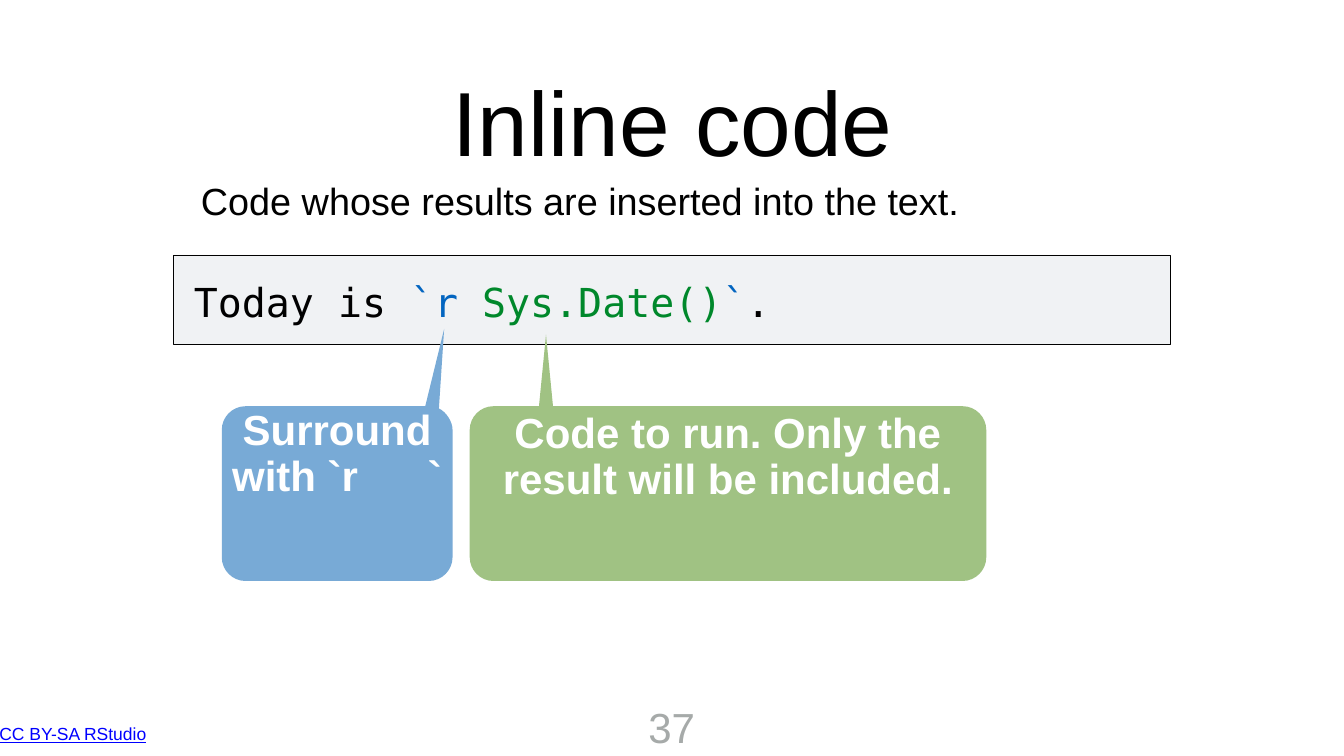
"""Build the slide that explains inline code with two callouts."""
from math import acos, sin, tan

from lxml.etree import SubElement
from pptx import Presentation
from pptx.dml.color import RGBColor
from pptx.enum.shapes import MSO_SHAPE as Shape
from pptx.enum.text import MSO_ANCHOR as Anchor, MSO_AUTO_SIZE as AutoSize, PP_ALIGN as Align
from pptx.oxml.ns import qn
from pptx.util import Pt

BLACK = RGBColor(0x00, 0x00, 0x00)
WHITE = RGBColor(0xFF, 0xFF, 0xFF)
GRAY = RGBColor(0xA6, 0xAA, 0xA9)
CODE_FILL = RGBColor(0xF0, 0xF2, 0xF4)
CODE_BLUE = RGBColor(0x03, 0x65, 0xC0)
CODE_GREEN = RGBColor(0x00, 0x88, 0x2B)
LINK_BLUE = RGBColor(0x00, 0x00, 0xFF)
CALLOUT_BLUE = RGBColor(0x78, 0xAA, 0xD6)
CALLOUT_GREEN = RGBColor(0xA0, 0xC2, 0x83)

TITLE = "Inline code"
SUBTITLE = "Code whose results are inserted into the text."
LICENSE = "CC BY-SA RStudio"
PAGE_NUMBER = "37"
CODE = [
    ("Today is ", BLACK),
    ("`r ", CODE_BLUE),
    ("Sys.Date()", CODE_GREEN),
    ("`", CODE_BLUE),
    (".", BLACK),
]
CALLOUTS = [
    {"text": "Code to run. Only the result will be included.", "fill": CALLOUT_GREEN,
     "left": 671, "right": 1409, "tip": (780, 478), "base": (770, 790)},
    {"text": "Surround with `r      `", "fill": CALLOUT_BLUE,
     "left": 316.8, "right": 646.5, "tip": (634.5, 470), "base": (607.5, 627)},
]
CALLOUT_TOP, CALLOUT_BOTTOM, CORNER = 580.3, 830, 34
ROUNDNESS = 0.55


def write_text(shape, runs, size, color=BLACK, font="Arial", bold=False, underline=False,
               align=Align.LEFT, anchor=Anchor.TOP, inset=4, wrap=True, spacing=None):
    """Fill a shape with one paragraph, given as a string or as (text, color) runs."""
    frame = shape.text_frame
    frame.auto_size = AutoSize.NONE if wrap else AutoSize.SHAPE_TO_FIT_TEXT
    frame.word_wrap = wrap
    frame.vertical_anchor = anchor
    frame.margin_left = frame.margin_right = frame.margin_top = frame.margin_bottom = Pt(inset)
    paragraph = frame.paragraphs[0]
    paragraph.alignment = align
    if spacing:
        paragraph.line_spacing = spacing
    for text, run_color in [(runs, color)] if isinstance(runs, str) else runs:
        run = paragraph.add_run()
        run.text = text
        run.font.name, run.font.size = font, Pt(size)
        run.font.bold, run.font.underline = bold, underline
        run.font.color.rgb = run_color


def add_text(slide, box, runs, **style):
    """Add a text box at (left, top, width, height)."""
    write_text(slide.shapes.add_textbox(*map(Pt, box)), runs, **style)


def callout_outline(left, right, base):
    """Return (end, corner) steps from the pointer's left base round the box; lines have no corner."""
    near, far = left + CORNER, right - CORNER
    upper, lower = CALLOUT_TOP + CORNER, CALLOUT_BOTTOM - CORNER
    base_left, base_right = base
    last_end = max(base_right, far)
    angle = acos((last_end - far) / CORNER)
    steps = [
        ((base_left, CALLOUT_TOP), None),
        ((near, CALLOUT_TOP), None),
        ((left, upper), (left, CALLOUT_TOP)),
        ((left, lower), None),
        ((near, CALLOUT_BOTTOM), (left, CALLOUT_BOTTOM)),
        ((far, CALLOUT_BOTTOM), None),
        ((right, lower), (right, CALLOUT_BOTTOM)),
        ((right, upper), None),
        ((last_end, upper - CORNER * sin(angle)), (right, upper - CORNER * tan(angle / 2))),
    ]
    return steps if base_right > far else steps + [((base_right, CALLOUT_TOP), None)]


def round_corners(shape, corners):
    """Turn each line that has a corner point into a curve bent towards that point."""
    for line, corner in zip(list(shape.element.iter(qn("a:lnTo"))), corners):
        if corner is None:
            continue
        target = Pt(corner[0]) - shape.left, Pt(corner[1]) - shape.top
        curve = line.getparent().makeelement(qn("a:cubicBezTo"))
        for point in (line.getprevious()[-1], line[0]):
            start = int(point.get("x")), int(point.get("y"))
            x, y = (round(a + ROUNDNESS * (b - a)) for a, b in zip(start, target))
            SubElement(curve, qn("a:pt"), x=str(x), y=str(y))
        curve.append(line[0])
        line.getparent().replace(line, curve)


def add_callout(slide, text, fill, tip, **box):
    """Add one pointed box with its label."""
    steps = callout_outline(**box)
    builder = slide.shapes.build_freeform(*map(Pt, tip))
    builder.add_line_segments([(Pt(x), Pt(y)) for (x, y), corner in steps], close=True)
    shape = builder.convert_to_shape()
    round_corners(shape, [corner for end, corner in steps])
    shape.shadow.inherit = False
    shape.fill.solid()
    shape.fill.fore_color.rgb = fill
    shape.line.fill.background()
    write_text(shape, text, size=60, color=WHITE, bold=True, align=Align.CENTER,
               anchor=Anchor.MIDDLE, inset=6, spacing=0.9)


def main():
    """Assemble and save the slide."""
    presentation = Presentation()
    presentation.slide_width, presentation.slide_height = Pt(1920), Pt(1080)
    slide = presentation.slides.add_slide(presentation.slide_layouts[5])

    add_text(slide, (-7, 1028, 222, 41), LICENSE, size=25, color=LINK_BLUE, underline=True,
             align=Align.CENTER, anchor=Anchor.MIDDLE, inset=6, wrap=False)

    title = slide.shapes.title
    title.left, title.top, title.width, title.height = map(Pt, (549, 73.5, 824, 196))
    write_text(title, TITLE, size=130, align=Align.CENTER, anchor=Anchor.MIDDLE)
    add_text(slide, (283, 250, 1405, 196), SUBTITLE, size=54)

    panel = slide.shapes.add_shape(Shape.RECTANGLE, *map(Pt, (248, 364.3, 1423.5, 127.5)))
    panel.shadow.inherit = False
    panel.fill.solid()
    panel.fill.fore_color.rgb = CODE_FILL
    panel.line.color.rgb = BLACK
    panel.line.width = Pt(1)
    add_text(slide, (273, 393, 1241, 112), CODE, size=57, font="DejaVu Sans Mono")

    for callout in CALLOUTS:
        add_callout(slide, **callout)

    add_text(slide, (920, 996, 79, 83.5), PAGE_NUMBER, size=60, color=GRAY,
             align=Align.CENTER, inset=6, wrap=False)
    presentation.save("out.pptx")


if __name__ == "__main__":
    main()
